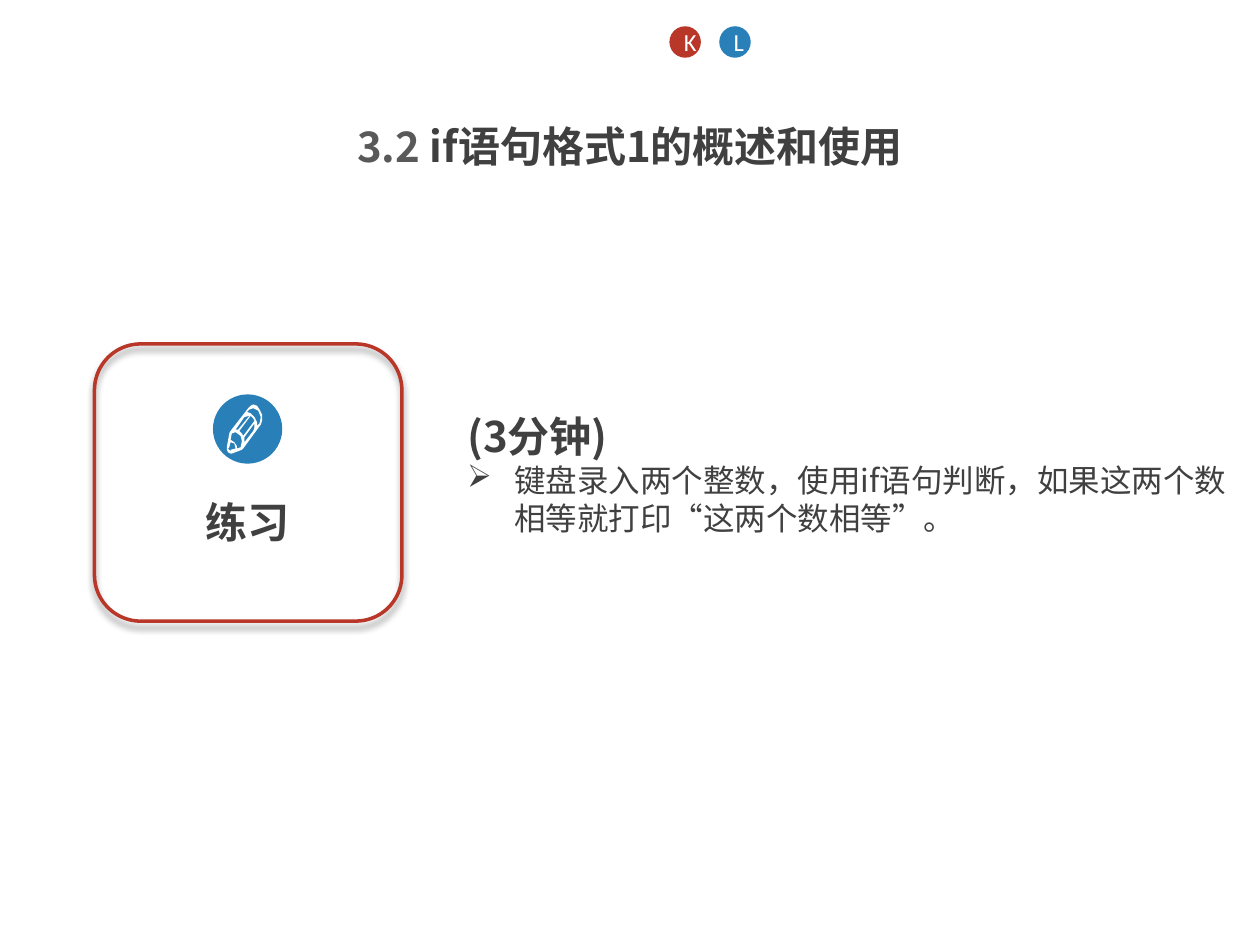
from dataclasses import dataclass

from lxml import etree
from pptx import Presentation
from pptx import util as u
from pptx.dml.color import RGBColor
from pptx.enum import shapes, text
from pptx.oxml import ns


@dataclass(frozen=True)
class Theme:
    red: str = "B83729"
    blue: str = "2980B9"
    dark: str = "404040"
    grey: str = "595959"
    white: str = "FFFFFF"
    shadow: str = "000000"
    cjk: str = "Noto Sans CJK SC"
    latin: str = "Calibri"
    heading: float = 24
    body: float = 18
    badge: float = 14


THEME = Theme()

PENCIL_UNIT = u.Pt(0.72)
PENCIL_OUTLINE = [
    (206, 325), (204, 322), (201, 321), (199, 322), (197, 324), (183, 342),
    (182, 344), (180, 355), (180, 357), (181, 359), (183, 360), (184, 360),
    (192, 357), (193, 356), (207, 337), (208, 334), (208, 329),
]
PENCIL_HOLES = [
    [(206, 336), (204, 338), (204, 335), (202, 331), (199, 328), (196, 327),
     (198, 325), (201, 324), (205, 326), (207, 331)],
    [(188, 356), (188, 354), (186, 351), (183, 349), (184, 344), (187, 343),
     (191, 346), (192, 350), (191, 355)],
    [(183, 357), (183, 358), (181, 356), (182, 355), (183, 351), (186, 352),
     (187, 356)],
    [(189, 341), (187, 341), (194, 331), (198, 330)],
    [(193, 346), (192, 344), (190, 342), (199, 330), (201, 332), (202, 334)],
    [(194, 351), (194, 347), (202, 336), (202, 339), (201, 342)],
]


def points(*values):
    return [u.Pt(value) for value in values]


def format_run(run, size, color, bold=False, name=THEME.cjk):
    run.font.size = u.Pt(size)
    run.font.bold = bold
    run.font.color.rgb = RGBColor.from_string(color)
    run.font.name = name
    east_asian = etree.SubElement(run.font._element, ns.qn("a:ea"))
    east_asian.set("typeface", name)


def set_margins(frame, left=0, top=0, right=0, bottom=0):
    frame.margin_left, frame.margin_top = points(left, top)
    frame.margin_right, frame.margin_bottom = points(right, bottom)
    frame.word_wrap = True


def add_bullet(paragraph, character, indent):
    properties = paragraph._p.get_or_add_pPr()
    properties.set("marL", str(u.Pt(indent)))
    properties.set("indent", str(-u.Pt(indent)))
    etree.SubElement(properties, ns.qn("a:buChar")).set("char", character)


def add_title(slide, parts):
    title = slide.shapes.title
    title.left, title.top, title.width, title.height = points(0, 66.24, 720, 33.84)
    frame = title.text_frame
    set_margins(frame)
    frame.auto_size = text.MSO_AUTO_SIZE.NONE
    frame.vertical_anchor = text.MSO_ANCHOR.MIDDLE
    paragraph = frame.paragraphs[0]
    paragraph.alignment = text.PP_ALIGN.CENTER
    for wording, color in parts:
        run = paragraph.add_run()
        run.text = wording
        format_run(run, THEME.heading, color, bold=True)


def add_circle(slide, left, top, size, color, label=""):
    circle = slide.shapes.add_shape(
        shapes.MSO_SHAPE.OVAL, *points(left, top, size, size))
    circle.shadow.inherit = False
    circle.fill.solid()
    circle.fill.fore_color.rgb = RGBColor.from_string(color)
    circle.line.fill.background()
    if label:
        circle.text_frame.text = label
        run = circle.text_frame.paragraphs[0].runs[0]
        format_run(run, THEME.badge, THEME.white, name=THEME.latin)


def add_pencil(slide):
    builder = slide.shapes.build_freeform(*PENCIL_OUTLINE[0], scale=PENCIL_UNIT)
    builder.add_line_segments(PENCIL_OUTLINE[1:])
    for hole in PENCIL_HOLES:
        builder.move_to(*hole[0])
        builder.add_line_segments(hole[1:])
    pencil = builder.convert_to_shape()
    pencil.shadow.inherit = False
    pencil.fill.solid()
    pencil.fill.fore_color.rgb = RGBColor.from_string(THEME.white)
    pencil.line.fill.background()


def add_frame(slide):
    frame = slide.shapes.add_shape(
        shapes.MSO_SHAPE.ROUNDED_RECTANGLE, *points(54, 196.56, 175.68, 158.4))
    frame.fill.background()
    frame.line.color.rgb = RGBColor.from_string(THEME.red)
    frame.line.width = u.Pt(2)
    frame.shadow.inherit = False
    effects = frame._element.spPr.find(ns.qn("a:effectLst"))
    shadow = etree.SubElement(
        effects, ns.qn("a:outerShdw"), blurRad=str(u.Pt(4)),
        dist=str(u.Pt(3)), dir="5400000", rotWithShape="0")
    color = etree.SubElement(shadow, ns.qn("a:srgbClr"), val=THEME.shadow)
    etree.SubElement(color, ns.qn("a:alpha"), val="40000")


def add_exercise_label(slide):
    box = slide.shapes.add_textbox(*points(110.16, 283.68, 62.64, 32.4))
    set_margins(box.text_frame, left=7.2, top=3)
    box.text_frame.text = "练习"
    paragraph = box.text_frame.paragraphs[0]
    paragraph.line_spacing = 0.9
    format_run(paragraph.runs[0], THEME.heading, THEME.dark, bold=True)


def add_task(slide, duration, task):
    box = slide.shapes.add_textbox(*points(259.92, 231.12, 458.64, 101.52))
    frame = box.text_frame
    set_margins(frame, 7.2, 3.6, 7.2, 3.6)
    frame.text = f"{duration}\n{task}"
    heading, body = frame.paragraphs
    add_bullet(body, "➢", 27)
    format_run(heading.runs[0], THEME.heading, THEME.dark, bold=True)
    format_run(body.runs[0], THEME.body, THEME.dark)


def main():
    presentation = Presentation()
    presentation.slide_width, presentation.slide_height = points(720, 540)
    slide = presentation.slides.add_slide(presentation.slide_layouts[5])
    add_title(slide, [("3.2 ", THEME.grey), ("if语句格式1的概述和使用", THEME.dark)])
    add_task(slide, "(3分钟)",
             "键盘录入两个整数，使用if语句判断，如果这两个数相等就打印“这两个数相等”。")
    add_exercise_label(slide)
    add_circle(slide, 121.68, 225.36, 39.6, THEME.blue)
    add_pencil(slide)
    add_frame(slide)
    for index, (label, color) in enumerate([("K", THEME.red), ("L", THEME.blue)]):
        add_circle(slide, 382.5 + 28.5 * index, 15, 18, color, label)
    presentation.save("out.pptx")


if __name__ == "__main__":
    main()
